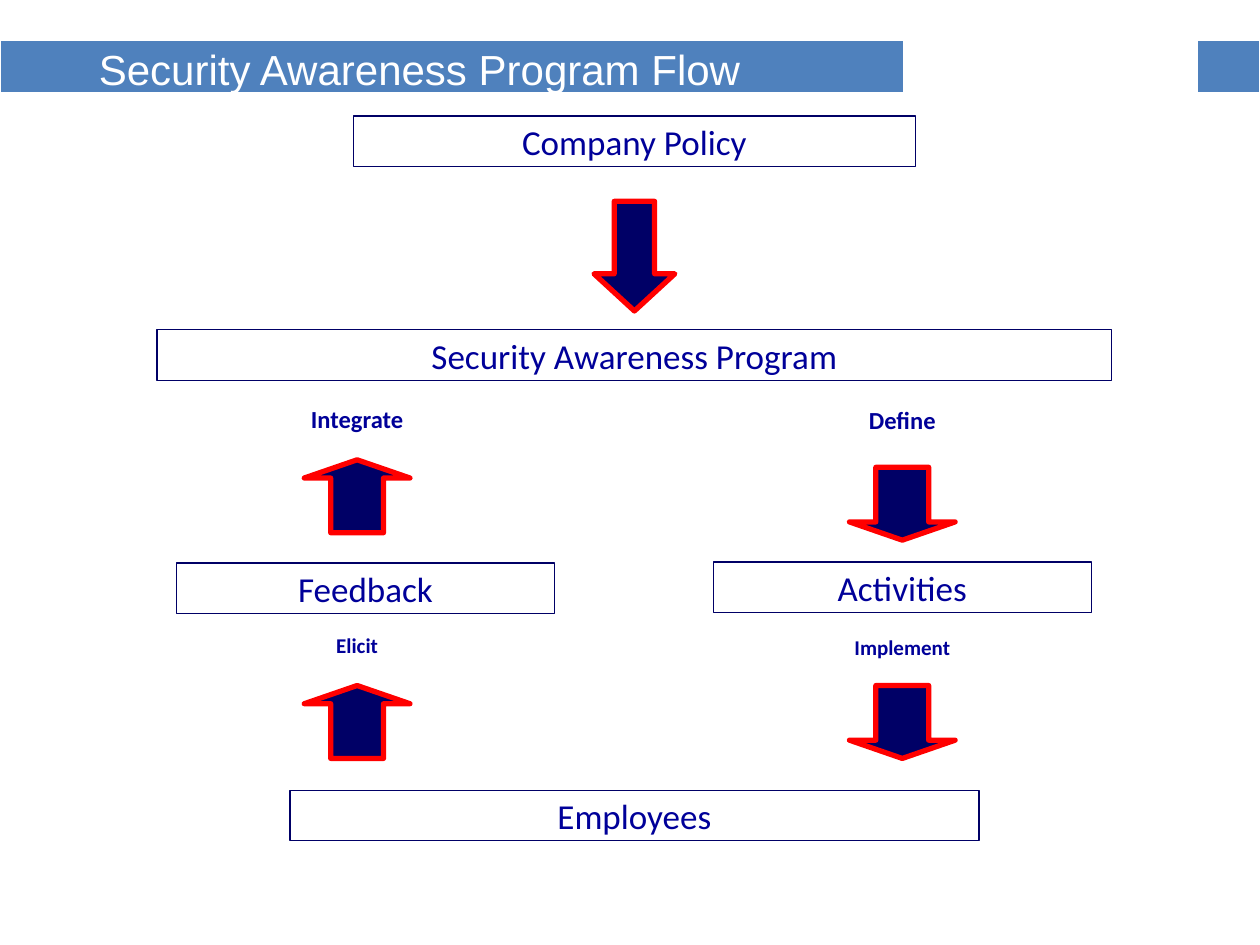
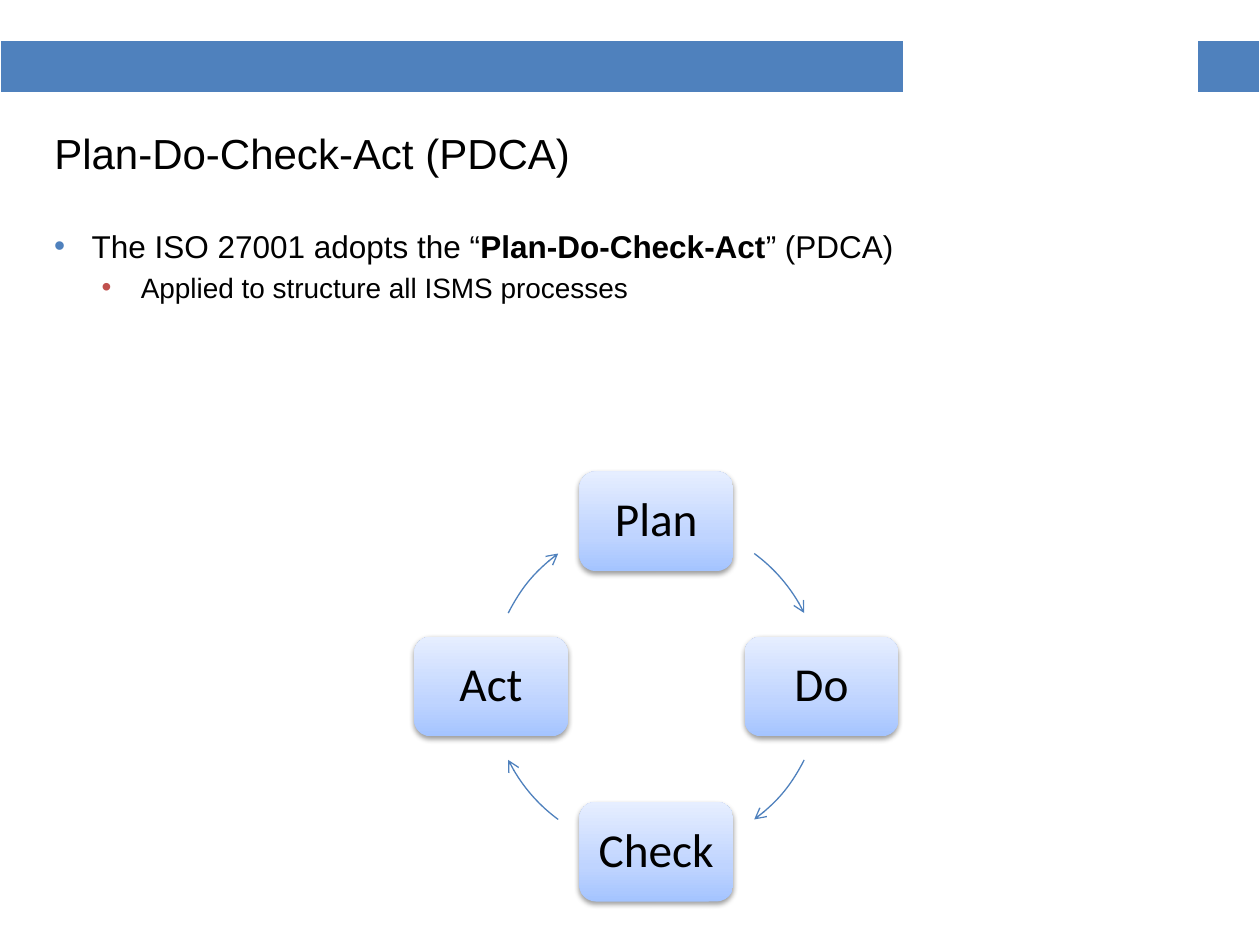
import copy
import math

import pptx
import pptx.dml.color
import pptx.enum.dml
import pptx.enum.shapes
import pptx.enum.text
import pptx.oxml
import pptx.oxml.ns
import pptx.util

Cm = pptx.util.Cm
Pt = pptx.util.Pt
ALIGN = pptx.enum.text.PP_ALIGN
MIDDLE = pptx.enum.text.MSO_ANCHOR.MIDDLE
SHAPE = pptx.enum.shapes.MSO_SHAPE
qn = pptx.oxml.ns.qn
NAMESPACE = pptx.oxml.ns.nsdecls("a")

THEME = {
    "band": "4F81BD", "white": "FFFFFF", "black": "000000",
    "navy": "000066", "label": "000099", "red": "FF0000",
    "bullets": ["4F81BD", "C0504D"],
    "card": [(0, "A4C4FF"), (0.35, "BFD4FF"), (1, "E6EEFF")],
    "heading_font": "Arial", "diagram_font": "Calibri",
    "title": 24, "body": [18, 16], "box": 20, "card_text": 27,
}

# Content; all lengths are centimetres
BAND = {"top": 0.81, "height": 1.09,
        "columns": [(18.21, True), (5.92, False), (1.27, True)]}
BAND_EDGES = {"a:lnL": 1, "a:lnR": 1, "a:lnT": 1, "a:lnB": 3}

FLOW_TITLE = "Security Awareness Program Flow"
AXIS, LEFT, RIGHT = 12.79, 7.2, 18.19
BOX_HEIGHT = 1.02
FLOW_BOXES = [  # text, centre, top, width
    ("Company Policy", AXIS, 2.34, 11.33),
    ("Security Awareness Program", AXIS, 6.65, 19.25),
    ("Feedback", 7.37, 11.35, 7.62),
    ("Activities", RIGHT, 11.33, 7.62),
    ("Employees", AXIS, 15.93, 13.89),
]
LONG_ARROW = (1.63, 2.21, 0.46)  # width, height, head
SHORT_ARROW = (2.13, 1.47, 0.25)
FLOW_ARROWS = [  # kind, centre, top, size
    (SHAPE.DOWN_ARROW, AXIS, 4.06, LONG_ARROW),
    (SHAPE.DOWN_ARROW, RIGHT, 9.42, SHORT_ARROW),
    (SHAPE.DOWN_ARROW, RIGHT, 13.82, SHORT_ARROW),
    (SHAPE.UP_ARROW, LEFT, 13.82, SHORT_ARROW),
    (SHAPE.UP_ARROW, LEFT, 9.27, SHORT_ARROW),
]
LABEL_WIDTH, LABEL_HEIGHT = 4.8, 0.9
FLOW_LABELS = [  # text, centre, middle, size
    ("Define", RIGHT, 8.47, 14),
    ("Implement", RIGHT, 13.04, 12),
    ("Elicit", LEFT, 13.0, 12),
    ("Integrate", LEFT, 8.45, 14),
]

CYCLE_TITLE = "Plan-Do-Check-Act (PDCA)"
CYCLE_POINTS = [  # level, spans of (text, bold)
    (0, [("The ISO 27001 adopts the “", False),
         ("Plan-Do-Check-Act", True), ("” (PDCA)", False)]),
    (1, [("Applied to structure all ISMS processes", False)]),
]
POINT_INDENTS = [(0.76, -0.76), (1.75, -0.79)]  # margin, first line
CYCLE_STEPS = ["Plan", "Do", "Check", "Act"]
CYCLE_CENTRE, CYCLE_RADIUS = (13.23, 13.84), 3.33
CARD_WIDTH, CARD_HEIGHT = 3.1, 2.01
ARC_MIDDLES, ARC_HALF = [320, 40, 140, 220], 13.6  # degrees, clockwise


# Shared helpers
def colour(value):
    return pptx.dml.color.RGBColor.from_string(value)


def apply(target, values):
    for name, value in values.items():
        setattr(target, name, value)


def add_span(para, text, font, size, ink, bold=False):
    span = para.add_run()
    span.text = text
    apply(span.font, {"name": font, "size": Pt(size), "bold": bold})
    span.font.color.rgb = colour(ink)


def set_frame(shape, inset=0.0, **values):
    sides = ("left", "right", "top", "bottom")
    apply(shape.text_frame, {f"margin_{side}": Cm(inset) for side in sides})
    apply(shape.text_frame, {"word_wrap": True, "vertical_anchor": MIDDLE, **values})


def write_centred(shape, text, size, ink, bold=False, **values):
    set_frame(shape, **values)
    para = shape.text_frame.paragraphs[0]
    para.alignment = ALIGN.CENTER
    add_span(para, text, THEME["diagram_font"], size, ink, bold)
    return para


def add_plain_shape(page, kind, left, top, width, height, line=None, weight=0.75):
    shape = page.shapes.add_shape(kind, Cm(left), Cm(top), Cm(width), Cm(height))
    shape.shadow.inherit = False
    shape.fill.background()
    if line:
        shape.line.color.rgb = colour(line)
        shape.line.width = Pt(weight)
    else:
        shape.line.fill.background()
    return shape


def add_page(deck, title, place, ink, alignment):
    page = deck.slides.add_slide(deck.slide_layouts[5])
    holder = page.shapes.title
    left, top, width, height = map(Cm, place)
    apply(holder, {"left": left, "top": top, "width": width, "height": height})
    apply(holder.text_frame, {"vertical_anchor": MIDDLE, "word_wrap": True,
                              "auto_size": pptx.enum.text.MSO_AUTO_SIZE.NONE})
    para = holder.text_frame.paragraphs[0]
    para.alignment = alignment
    add_span(para, title, THEME["heading_font"], THEME["title"], ink)
    return page


def add_band(page):
    """Build the header band and hand it to the layout, so all pages share it."""
    columns = BAND["columns"]
    total = sum(width for width, _ in columns)
    frame = page.shapes.add_table(1, len(columns), 0, Cm(BAND["top"]),
                                  Cm(total), Cm(BAND["height"]))
    apply(frame.table, {"first_row": False, "horz_banding": False})
    for index, (width, filled) in enumerate(columns):
        frame.table.columns[index].width = Cm(width)
        cell = frame.table.cell(0, index)
        properties = cell._tc.get_or_add_tcPr()
        for tag, weight in BAND_EDGES.items():
            properties.append(pptx.oxml.parse_xml(
                f'<{tag} {NAMESPACE} w="{Pt(weight)}"><a:solidFill>'
                f'<a:srgbClr val="{THEME["white"]}"/></a:solidFill></{tag}>'))
        if filled:
            cell.fill.solid()
            cell.fill.fore_color.rgb = colour(THEME["band"])
        else:
            cell.fill.background()
    frame._element.nvGraphicFramePr.cNvPr.set("id", "50")
    page.slide_layout.shapes._spTree.append(frame._element)


# Program flow
def build_flow(deck):
    page = add_page(deck, FLOW_TITLE, (-1.78, 0.46, 20.47, 1.85),
                    THEME["white"], ALIGN.CENTER)
    add_band(page)
    for kind, centre, top, (width, height, head) in FLOW_ARROWS:
        arrow = add_plain_shape(page, kind, centre - width / 2, top, width, height,
                                THEME["red"], 3)
        arrow.fill.solid()
        arrow.fill.fore_color.rgb = colour(THEME["navy"])
        arrow.adjustments[1] = head
    for text, centre, middle, size in FLOW_LABELS:
        label = page.shapes.add_textbox(
            Cm(centre - LABEL_WIDTH / 2), Cm(middle - LABEL_HEIGHT / 2),
            Cm(LABEL_WIDTH), Cm(LABEL_HEIGHT))
        write_centred(label, text, size, THEME["label"], bold=True)
    for text, centre, top, width in FLOW_BOXES:
        box = add_plain_shape(page, SHAPE.RECTANGLE, centre - width / 2, top,
                              width, BOX_HEIGHT, THEME["navy"])
        write_centred(box, text, THEME["box"], THEME["label"])


# Plan-Do-Check-Act cycle
def add_points(page):
    box = page.shapes.add_textbox(Cm(0.84), Cm(4.45), Cm(23.7), Cm(12.93))
    box.text_frame.word_wrap = True
    for index, (level, spans) in enumerate(CYCLE_POINTS):
        frame = box.text_frame
        para = frame.add_paragraph() if index else frame.paragraphs[0]
        size = THEME["body"][level]
        apply(para, {"level": level, "space_before": Pt(size * 0.2)})
        margin, first = POINT_INDENTS[level]
        properties = para._p.get_or_add_pPr()
        properties.set("marL", str(Cm(margin)))
        properties.set("indent", str(Cm(first)))
        for bullet in (f'<a:buClr {NAMESPACE}><a:srgbClr val="{THEME["bullets"][level]}"/></a:buClr>',
                       f'<a:buFont {NAMESPACE} typeface="Arial"/>',
                       f'<a:buChar {NAMESPACE} char="•"/>'):
            properties.append(pptx.oxml.parse_xml(bullet))
        for text, bold in spans:
            add_span(para, text, THEME["heading_font"], size, THEME["black"], bold)


def fill_card(card):
    card.fill.gradient()
    card.fill.gradient_angle = 90
    stop_list = card._element.spPr.find(qn("a:gradFill")).find(qn("a:gsLst"))
    stop_list.append(copy.deepcopy(stop_list[-1]))
    for stop, (position, shade) in zip(card.fill.gradient_stops, THEME["card"]):
        stop.position = position
        stop.color.rgb = colour(shade)
    card._element.spPr.find(qn("a:effectLst")).append(pptx.oxml.parse_xml(
        f'<a:outerShdw {NAMESPACE} blurRad="{Pt(3.1)}" dist="{Pt(1.6)}" dir="5400000" '
        f'rotWithShape="0"><a:srgbClr val="{THEME["black"]}">'
        '<a:alpha val="38000"/></a:srgbClr></a:outerShdw>'))


def build_cycle(deck):
    page = add_page(deck, CYCLE_TITLE, (0.84, 2.16, 23.7, 1.85),
                    THEME["black"], ALIGN.LEFT)
    add_points(page)
    centre_x, centre_y = CYCLE_CENTRE
    for index, (step, middle) in enumerate(zip(CYCLE_STEPS, ARC_MIDDLES)):
        angle = math.radians(90 * index - 90)
        card = add_plain_shape(
            page, SHAPE.ROUNDED_RECTANGLE,
            centre_x + CYCLE_RADIUS * math.cos(angle) - CARD_WIDTH / 2,
            centre_y + CYCLE_RADIUS * math.sin(angle) - CARD_HEIGHT / 2,
            CARD_WIDTH, CARD_HEIGHT)
        fill_card(card)
        para = write_centred(card, step, THEME["card_text"], THEME["black"], inset=0.1)
        para.line_spacing = 0.9

        arc = add_plain_shape(page, SHAPE.ARC, centre_x - CYCLE_RADIUS,
                              centre_y - CYCLE_RADIUS, 2 * CYCLE_RADIUS,
                              2 * CYCLE_RADIUS, THEME["band"])
        # Arc angles are stored in 60000ths of a degree
        for side, offset in enumerate((-ARC_HALF, ARC_HALF)):
            arc.adjustments[side] = (middle + offset) * 0.6
        arc.line._get_or_add_ln().append(
            pptx.oxml.parse_xml(f'<a:tailEnd {NAMESPACE} type="arrow"/>'))


def main():
    deck = pptx.Presentation()
    apply(deck, {"slide_width": Cm(25.4), "slide_height": Cm(19.05)})
    build_flow(deck)
    build_cycle(deck)
    deck.save("out.pptx")


if __name__ == "__main__":
    main()
